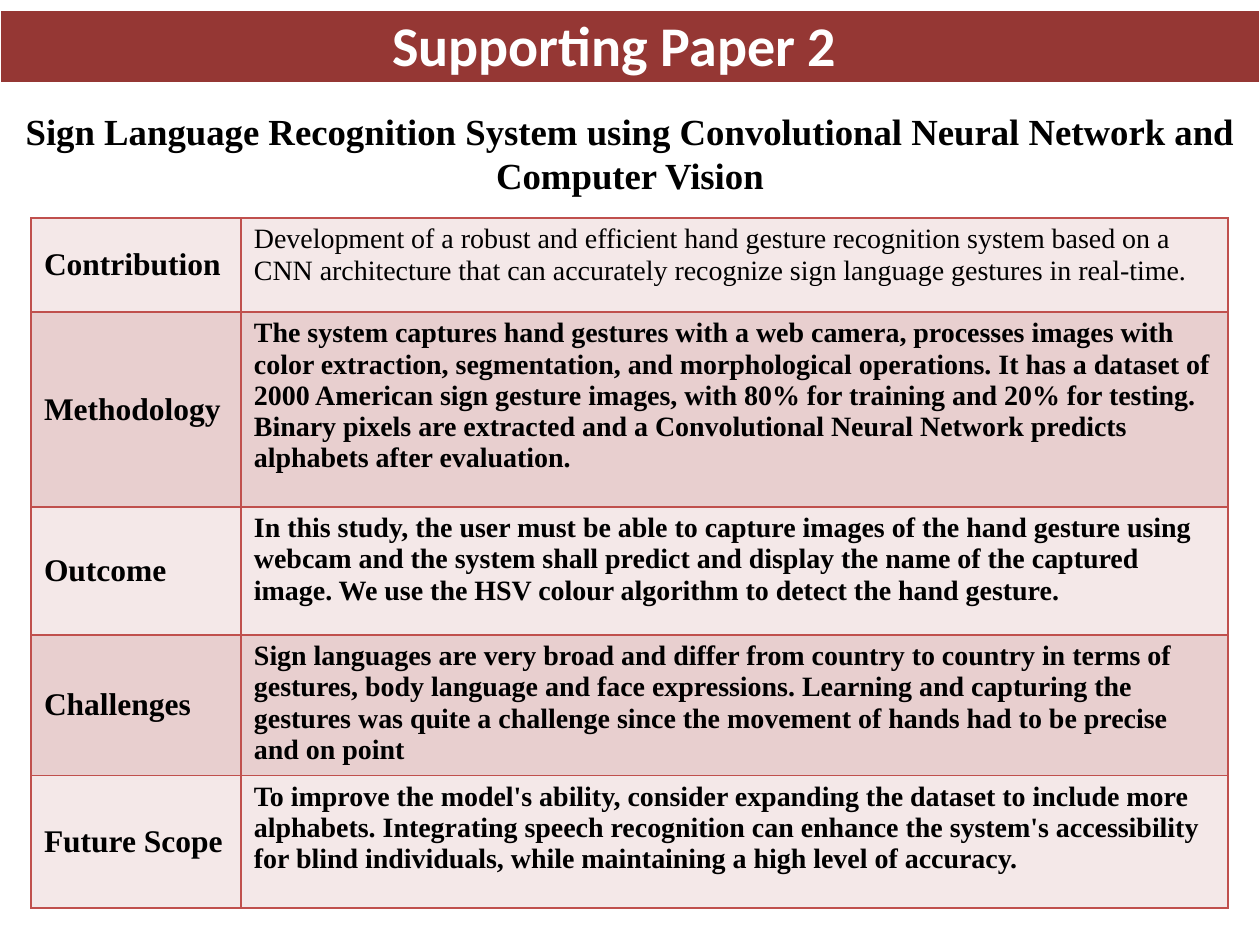
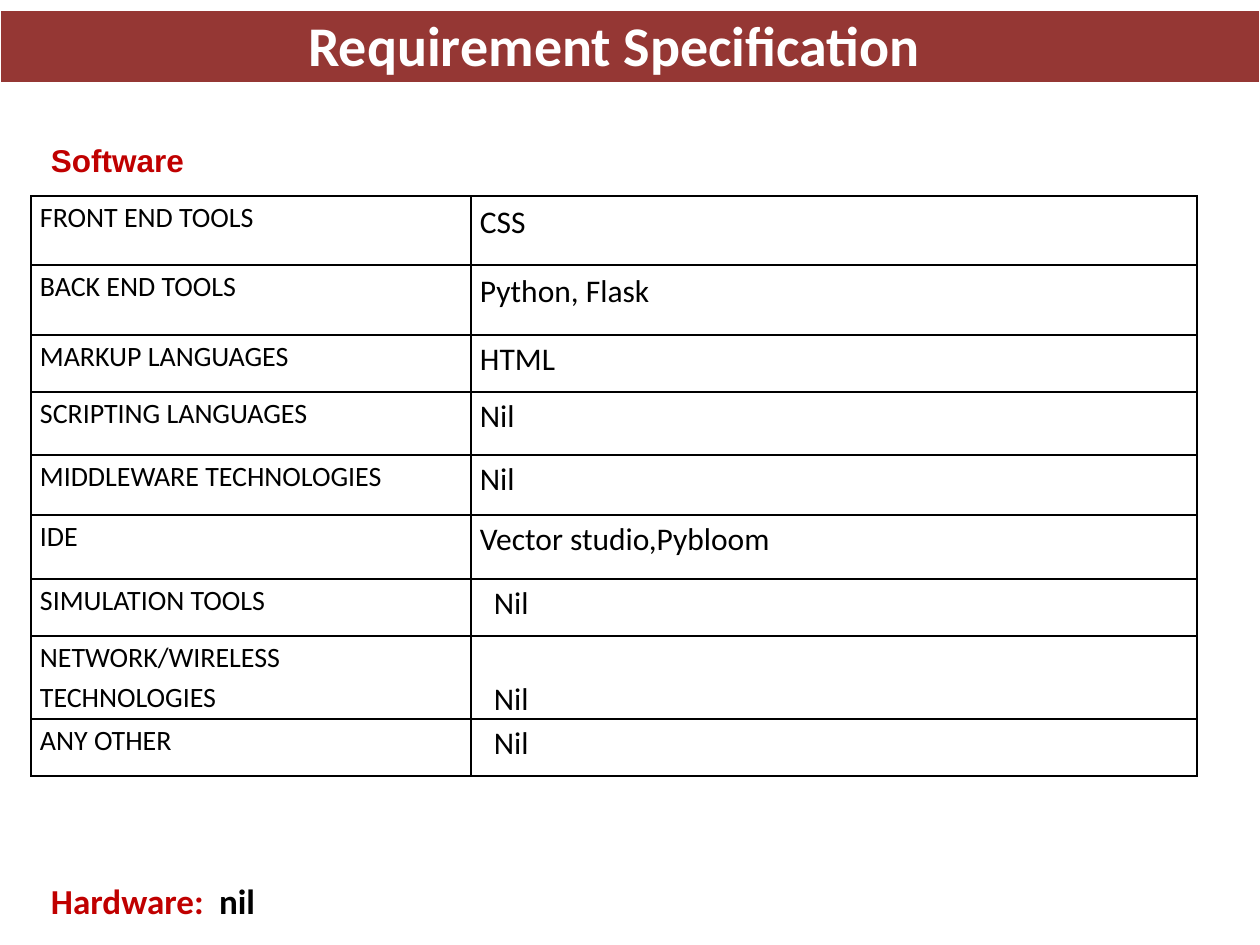
from lxml.etree import SubElement
from pptx import Presentation
from pptx.dml.color import RGBColor
from pptx.enum.shapes import MSO_SHAPE as Shape
from pptx.enum.text import MSO_ANCHOR as Anchor, PP_ALIGN as Align
from pptx.oxml.ns import qn
from pptx.util import Emu, Pt

EMU_PER_PX = 914400 / 126
PAGE_WIDTH, PAGE_HEIGHT = 1260, 945
SERIF, SANS, HEADING = "Times New Roman", "Calibri", "Arial"
BLACK, WHITE = "000000", "FFFFFF"
BAND, ACCENT, PAPER_LINE = "953734", "C00000", "C0504D"
ROW_FILLS = ("F4E8E8", "E8CFCF")
BOX_INSETS = (13, 6, 13, 6)
SUMMARY_INSETS = (13, 6, 13, 0)

PAPER_ROWS = [
    (94, "Contribution",
     "Development of a robust and efficient hand gesture recognition system based on a "
     "CNN architecture that can accurately recognize sign language gestures in real-time."),
    (195, "Methodology",
     "The system captures hand gestures with a web camera, processes images with color "
     "extraction, segmentation, and morphological operations. It has a dataset of 2000 "
     "American sign gesture images, with 80% for training and 20% for testing. Binary "
     "pixels are extracted and a Convolutional Neural Network predicts alphabets after "
     "evaluation."),
    (128, "Outcome",
     "In this study, the user must be able to capture images of the hand gesture using "
     "webcam and the system shall predict and display the name of the captured image. "
     "We use the HSV colour algorithm to detect the hand gesture."),
    (137, "Challenges",
     "Sign languages are very broad and differ from country to country in terms of "
     "gestures, body language and face expressions. Learning and capturing the gestures "
     "was quite a challenge since the movement of hands had to be precise and on point"),
    (133, "Future Scope",
     "To improve the model's ability, consider expanding the dataset to include more "
     "alphabets. Integrating speech recognition can enhance the system's accessibility "
     "for blind individuals, while maintaining a high level of accuracy."),
]

SOFTWARE_ROWS = [
    (69, "FRONT END TOOLS", "CSS", {"spacing": 1.2}),
    (70, "BACK END TOOLS", "Python, Flask", {"spacing": 1.2}),
    (57, "MARKUP LANGUAGES", "HTML", {}),
    (63, "SCRIPTING LANGUAGES", "Nil", {}),
    (60, "MIDDLEWARE TECHNOLOGIES", "Nil", {}),
    (64, "IDE", "Vector studio,Pybloom", {}),
    (57, "SIMULATION TOOLS", "Nil", {"indent": 14}),
    (83, "NETWORK/WIRELESS TECHNOLOGIES", "Nil", {"indent": 14, "anchor": Anchor.BOTTOM}),
    (57, "ANY OTHER", "Nil", {"indent": 14}),
]


def px(length):
    return Emu(round(length * EMU_PER_PX))


def color(code):
    return RGBColor.from_string(code)


def write(para, text, font=SANS, size=18, ink=BLACK, bold=False,
          align=Align.LEFT, spacing=None):
    para.alignment = align
    if spacing:
        para.line_spacing = spacing
    span = para.add_run()
    span.text = text
    span.font.name = font
    span.font.size = Pt(size)
    span.font.bold = bold
    span.font.color.rgb = color(ink)


def set_insets(target, insets):
    (target.margin_left, target.margin_top,
     target.margin_right, target.margin_bottom) = map(px, insets)


def add_text(page, box, text, anchor=Anchor.TOP, **style):
    frame = page.shapes.add_textbox(*map(px, box)).text_frame
    frame.word_wrap = True
    frame.vertical_anchor = anchor
    set_insets(frame, BOX_INSETS)
    write(frame.paragraphs[0], text, **style)
    return frame.paragraphs[0]


def add_tab_stop(para, position):
    stops = SubElement(para._p.get_or_add_pPr(), qn("a:tabLst"))
    SubElement(stops, qn("a:tab"), pos=str(px(position)), algn="l")


def add_title_band(page, title):
    band = page.shapes.add_shape(Shape.RECTANGLE, *map(px, (0, 10, PAGE_WIDTH, 73)))
    band.shadow.inherit = False
    band.fill.solid()
    band.fill.fore_color.rgb = color(BAND)
    band.line.color.rgb = color(WHITE)
    band.line.width = Pt(0.75)
    add_text(page, (63, 0, 1103, 88), title, anchor=Anchor.MIDDLE,
             size=32, ink=WHITE, bold=True, align=Align.CENTER)


def add_grid(page, left, top, widths, heights):
    box = (left, top, sum(widths), sum(heights))
    grid = page.shapes.add_table(len(heights), len(widths), *map(px, box)).table
    grid.first_row = grid.horz_banding = False
    for column, width in zip(grid.columns, widths):
        column.width = px(width)
    for row, height in zip(grid.rows, heights):
        row.height = px(height)
    return grid


def fill_cell(cell, text, border, insets, fill=None, anchor=Anchor.TOP, **style):
    properties = cell._tc.get_or_add_tcPr()
    for side in ("lnL", "lnR", "lnT", "lnB"):
        line = SubElement(properties, qn(f"a:{side}"), w=str(Pt(1)))
        solid = SubElement(line, qn("a:solidFill"))
        SubElement(solid, qn("a:srgbClr"), val=border)
    if fill:
        cell.fill.solid()
        cell.fill.fore_color.rgb = color(fill)
    else:
        cell.fill.background()
    cell.vertical_anchor = anchor
    set_insets(cell, insets)
    write(cell.text_frame.paragraphs[0], text, **style)


def add_paper_table(page, left, top):
    grid = add_grid(page, left, top, (210, 987), [row[0] for row in PAPER_ROWS])
    for index, (_, label, summary) in enumerate(PAPER_ROWS):
        look = {"border": PAPER_LINE, "fill": ROW_FILLS[index % 2], "font": SERIF}
        fill_cell(grid.cell(index, 0), label, insets=BOX_INSETS,
                  anchor=Anchor.MIDDLE, bold=True, **look)
        fill_cell(grid.cell(index, 1), summary, insets=SUMMARY_INSETS,
                  size=16, bold=index > 0, **look)


def add_software_table(page, left, top):
    grid = add_grid(page, left, top, (440, 726), [row[0] for row in SOFTWARE_ROWS])
    for index, (_, label, tools, extras) in enumerate(SOFTWARE_ROWS):
        style = {"spacing": 1.15, **extras}
        indent = style.pop("indent", 0)
        fill_cell(grid.cell(index, 0), label, BLACK, (9, 0, 12, 0), size=16, spacing=1.15)
        fill_cell(grid.cell(index, 1), tools, BLACK, (9 + indent, 0, 9, 0), **style)


def build_paper_page(page):
    add_title_band(page, "Supporting Paper 2")
    add_paper_table(page, 31, 218)
    add_text(page, (2, 103, 1256, 146),
             "Sign Language Recognition System using Convolutional Neural Network "
             "and Computer Vision",
             font=SERIF, size=21, bold=True, align=Align.CENTER)


def build_requirement_page(page):
    add_title_band(page, "Requirement Specification")
    add_software_table(page, 31, 196)
    add_text(page, (38, 135, 160, 50), "Software", font=HEADING, ink=ACCENT, bold=True)
    hardware = add_text(page, (38, 873, 411, 55), "Hardware:",
                        size=20, ink=ACCENT, bold=True)
    add_tab_stop(hardware, 168)
    write(hardware, "\tnil", size=20, bold=True)


def main():
    deck = Presentation()
    deck.slide_width, deck.slide_height = px(PAGE_WIDTH), px(PAGE_HEIGHT)
    for build in (build_paper_page, build_requirement_page):
        build(deck.slides.add_slide(deck.slide_layouts[6]))
    deck.save("out.pptx")


if __name__ == "__main__":
    main()
